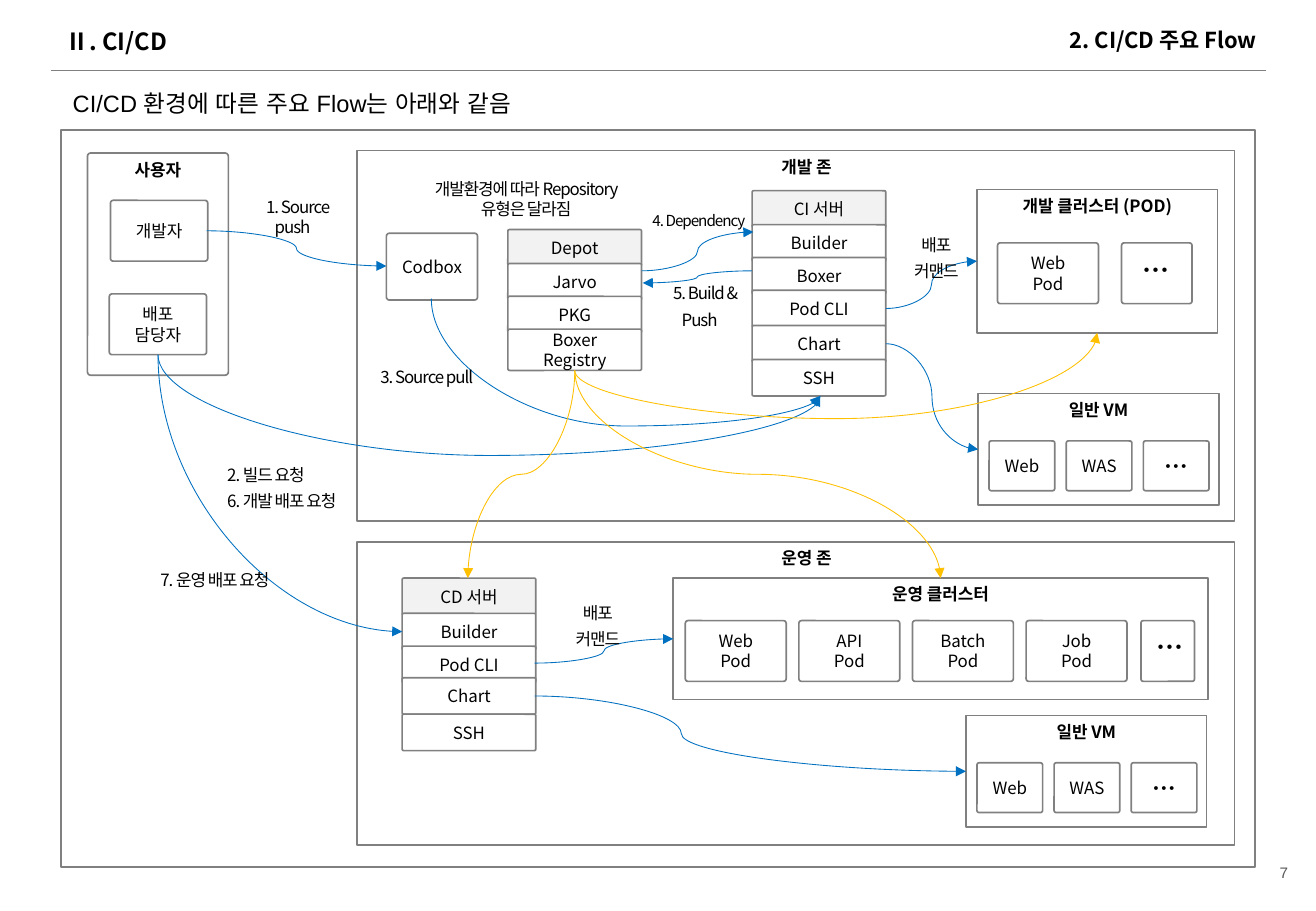
"""Build the CI/CD main flow slide."""
from lxml import etree
from pptx import Presentation
from pptx.dml.color import RGBColor
from pptx.enum.shapes import MSO_CONNECTOR, MSO_SHAPE
from pptx.enum.text import MSO_ANCHOR, MSO_AUTO_SIZE, PP_ALIGN
from pptx.oxml.ns import qn
from pptx.util import Inches, Pt

RECT, ROUND = MSO_SHAPE.RECTANGLE, MSO_SHAPE.ROUNDED_RECTANGLE
CURVE, STRAIGHT = MSO_CONNECTOR.CURVE, MSO_CONNECTOR.STRAIGHT
TOP, MID = MSO_ANCHOR.TOP, MSO_ANCHOR.MIDDLE
LEFT, CENTER, RIGHT = PP_ALIGN.LEFT, PP_ALIGN.CENTER, PP_ALIGN.RIGHT
FIXED = MSO_AUTO_SIZE.NONE

BLACK = RGBColor(0x00, 0x00, 0x00)
WHITE = RGBColor(0xFF, 0xFF, 0xFF)
GRAY = RGBColor(0x80, 0x80, 0x80)
DARK = RGBColor(0x59, 0x59, 0x59)
PALE = RGBColor(0xF2, 0xF2, 0xF2)
BLUE = RGBColor(0x00, 0x70, 0xC0)
GOLD = RGBColor(0xFF, 0xC0, 0x00)

SANS, ARIAL = "Noto Sans CJK KR", "Arial"


def assign(item, values):
    for key, value in values.items():
        setattr(item, key, value)


class Board:
    """Holds the text style and the current slide."""

    def __init__(self, deck):
        self.slide = deck.slides.add_slide(deck.slide_layouts[5])
        self.shapes = self.slide.shapes
        self.font = {"name": SANS, "size": Pt(10), "bold": False}

    def letter(self, frame, text, align=CENTER, anchor=MID, pad=(0.1, 0.05),
               shift=0, space=1.0, track=0, indent=0, color=BLACK, **font):
        side, edge = map(Inches, pad)
        assign(frame, {
            "text": text, "word_wrap": True, "auto_size": FIXED,
            "vertical_anchor": anchor, "margin_left": side + Inches(shift),
            "margin_right": side, "margin_top": edge, "margin_bottom": edge})
        for row, para in enumerate(frame.paragraphs):
            assign(para, {"alignment": align, "line_spacing": space})
            if row and indent:
                para._p.get_or_add_pPr().set("marL", str(Inches(indent)))
            for run in para.runs:
                assign(run.font, {**self.font, **font})
                run.font.color.rgb = color
                props = run._r.get_or_add_rPr()
                etree.SubElement(props, qn("a:ea")).set("typeface", run.font.name)
                if track:
                    props.set("spc", str(track))

    def title(self, box, text, **style):
        shape = self.shapes.title
        assign(shape, dict(zip(("left", "top", "width", "height"),
                               map(Inches, box))))
        self.letter(shape.text_frame, text, **style)

    def text(self, box, text, **style):
        shape = self.shapes.add_textbox(*map(Inches, box))
        self.letter(shape.text_frame, text, **style)

    def label(self, box, text, **style):
        base = {"align": LEFT, "anchor": TOP, "pad": (0, 0), "track": -60}
        self.text(box, text, **{**base, **style})

    def box(self, box, text="", kind=ROUND, fill=None, curve=0.043, **style):
        shape = self.shapes.add_shape(kind, *map(Inches, box))
        shape.shadow.inherit = False
        if kind == ROUND:
            shape.adjustments[0] = curve
        if fill is None:
            shape.fill.background()
        else:
            shape.fill.solid()
            shape.fill.fore_color.rgb = fill
        shape.line.color.rgb = GRAY
        shape.line.width = Pt(1)
        if text:
            self.letter(shape.text_frame, text, **style)

    def zone(self, box, text="", kind=RECT, **style):
        self.box(box, text, kind, anchor=TOP, bold=True, **style)

    def stack(self, left, tops, names, last=0.3):
        for row, (top, name) in enumerate(zip(tops, names)):
            high = last if row == len(names) - 1 else 0.3
            self.box((left, top, 1.1, high), name, fill=WHITE if row else PALE)

    def line(self, kind, ends, color, width):
        link = self.shapes.add_connector(kind, *map(Inches, ends))
        link.line.color.rgb = color
        link.line.width = Pt(width)
        etree.SubElement(link._element.spPr, qn("a:effectLst"))
        return link

    def arrow(self, start, end, color=BLUE, bend=0.5, down=False, arc=False):
        (x1, y1), (x2, y2) = start, end
        ends = (x1, y1, x2, y2)
        if down:
            midx, midy = (x1 + x2) / 2, (y1 + y2) / 2
            wide, high = abs(y2 - y1) / 2, abs(x2 - x1) / 2
            ends = (midx - wide, midy - high, midx + wide, midy + high)
        link = self.line(CURVE, ends, color, 0.5)
        props = link._element.spPr
        if down:
            frame = props.find(qn("a:xfrm"))
            frame.set("rot", str((270 if x2 > x1 else 90) * 60000))
            if (x2 > x1) == (y2 > y1):
                frame.set("flipH", "1")
        shape = props.find(qn("a:prstGeom"))
        if arc:
            shape.set("prst", "curvedConnector2")
        else:
            guide = etree.SubElement(shape.find(qn("a:avLst")), qn("a:gd"))
            guide.set("name", "adj1")
            guide.set("fmla", f"val {round(bend * 100000)}")
        tail = etree.SubElement(props.find(qn("a:ln")), qn("a:tailEnd"))
        tail.set("type", "triangle")

    def server(self, left, top):
        self.zone((left, top, 1.98, 0.92), "일반 VM")
        for col, name in enumerate(("Web", "WAS", "…")):
            style = {"size": Pt(14), "bold": True} if name == "…" else {}
            self.box((left + 0.09 + 0.635 * col, top + 0.39, 0.54, 0.41),
                     name, **style)

    def dots(self, left, top):
        self.label((left, top, 0.31, 0.34), "…", size=Pt(16), bold=True, space=1.3)


def main():
    deck = Presentation()
    deck.slide_width, deck.slide_height = Inches(10.83), Inches(7.5)
    board = Board(deck)

    board.line(STRAIGHT, (0.42, 0.58, 10.42, 0.58), GRAY, 1)
    board.title((0.44, 0.16, 9.87, 0.36), "Ⅱ. CI/CD", align=LEFT,
                size=Pt(14), bold=True)
    board.text((7.39, 0.13, 3.05, 0.4), "2. CI/CD 주요 Flow", align=RIGHT,
               size=Pt(13), bold=True)
    board.text((0.5, 0.68, 9.95, 0.34), "CI/CD 환경에 따른 주요 Flow는 아래와 같음",
               align=LEFT, anchor=TOP, name=ARIAL, size=Pt(14))
    board.text((8.17, 6.98, 2.53, 0.4), "7", align=RIGHT, name=ARIAL,
               size=Pt(9), color=DARK)

    board.zone((0.5, 1.07, 9.83, 6.07))
    board.zone((2.94, 1.24, 7.22, 3.05), "개발 존", shift=0.17)
    board.zone((2.94, 4.46, 7.22, 2.5), "운영 존", shift=0.17)
    board.zone((0.72, 1.26, 1.16, 1.83), "사용자", ROUND, curve=0.024)
    board.zone((8.04, 1.56, 1.98, 1.18), "개발 클러스터 (POD)")
    board.zone((5.54, 4.76, 4.4, 1), "운영 클러스터")

    board.box((0.91, 1.65, 0.8, 0.5), "개발자")
    board.box((0.9, 2.42, 0.8, 0.5), "배포 담당자")
    board.box((3.18, 1.92, 0.75, 0.55), "Codbox")
    board.box((8.21, 2, 0.83, 0.5), "Web\nPod")
    board.box((9.23, 2, 0.58, 0.5))
    board.dots(9.4, 2.01)
    for col, name in enumerate(("Web", "API", "Batch", "Job")):
        board.box((5.64 + 0.935 * col, 5.11, 0.83, 0.5), f"{name}\nPod")
    board.box((9.39, 5.11, 0.44, 0.5))
    board.dots(9.52, 5.11)
    board.server(8.05, 3.24)
    board.server(7.95, 5.89)

    board.stack(4.18, (1.89, 2.17, 2.44, 2.71),
                ("Depot", "Jarvo", "PKG", "Boxer\nRegistry"), 0.34)
    board.stack(6.19, (1.57, 1.85, 2.12, 2.39, 2.68, 2.96),
                ("CI 서버", "Builder", "Boxer", "Pod CLI", "Chart", "SSH"))
    board.stack(3.31, (4.76, 5.05, 5.32, 5.58, 5.88),
                ("CD 서버", "Builder", "Pod CLI", "Chart", "SSH"))

    board.arrow((1.7, 1.9), (3.18, 2.19))
    board.arrow((5.28, 2.23), (6.2, 1.91))
    board.arrow((6.19, 2.23), (5.29, 2.33))
    board.arrow((7.29, 2.54), (8.04, 2.15))
    board.arrow((7.29, 2.83), (8.05, 3.7))
    board.arrow((4.4, 5.46), (5.54, 5.26))
    board.arrow((4.4, 5.73), (7.95, 6.35), bend=0.34)
    board.arrow((3.55, 2.46), (6.75, 3.26), bend=1.31, down=True)
    board.arrow((1.3, 2.92), (6.75, 3.26), bend=2.44, down=True)
    board.arrow((1.3, 2.92), (3.31, 5.2), down=True, arc=True)
    for end, bend in (((7.74, 4.76), 0.5), ((9.03, 2.74), -1.28),
                      ((3.85, 4.76), 0.5)):
        board.arrow((4.73, 3.05), end, GOLD, bend, down=True)

    board.label((2.19, 1.62, 0.81, 0.29), "1. Source\npush", indent=0.07)
    board.label((3.13, 2.97, 0.77, 0.29), "3. Source pull", space=1.3)
    board.label((5.37, 1.74, 0.8, 0.29), "4. Dependency", size=Pt(9))
    board.label((5.54, 2.28, 0.7, 0.29), "5. Build &\nPush", space=1.3, indent=0.07)
    board.label((3.48, 1.47, 1.7, 0.38), "개발환경에 따라 Repository 유형은 달라짐",
                align=CENTER)
    board.label((1.87, 3.83, 1.05, 0.32), "2. 빌드 요청\n6. 개발 배포 요청",
                anchor=MID, space=1.3)
    board.label((1.32, 4.6, 1.07, 0.29), "7. 운영 배포 요청", anchor=MID, space=1.3)
    for spot in ((7.38, 1.88, 0.65, 0.29), (4.69, 4.91, 0.46, 0.29)):
        board.label(spot, "배포\n커맨드", align=CENTER, space=1.3)

    deck.save("out.pptx")


if __name__ == "__main__":
    main()
